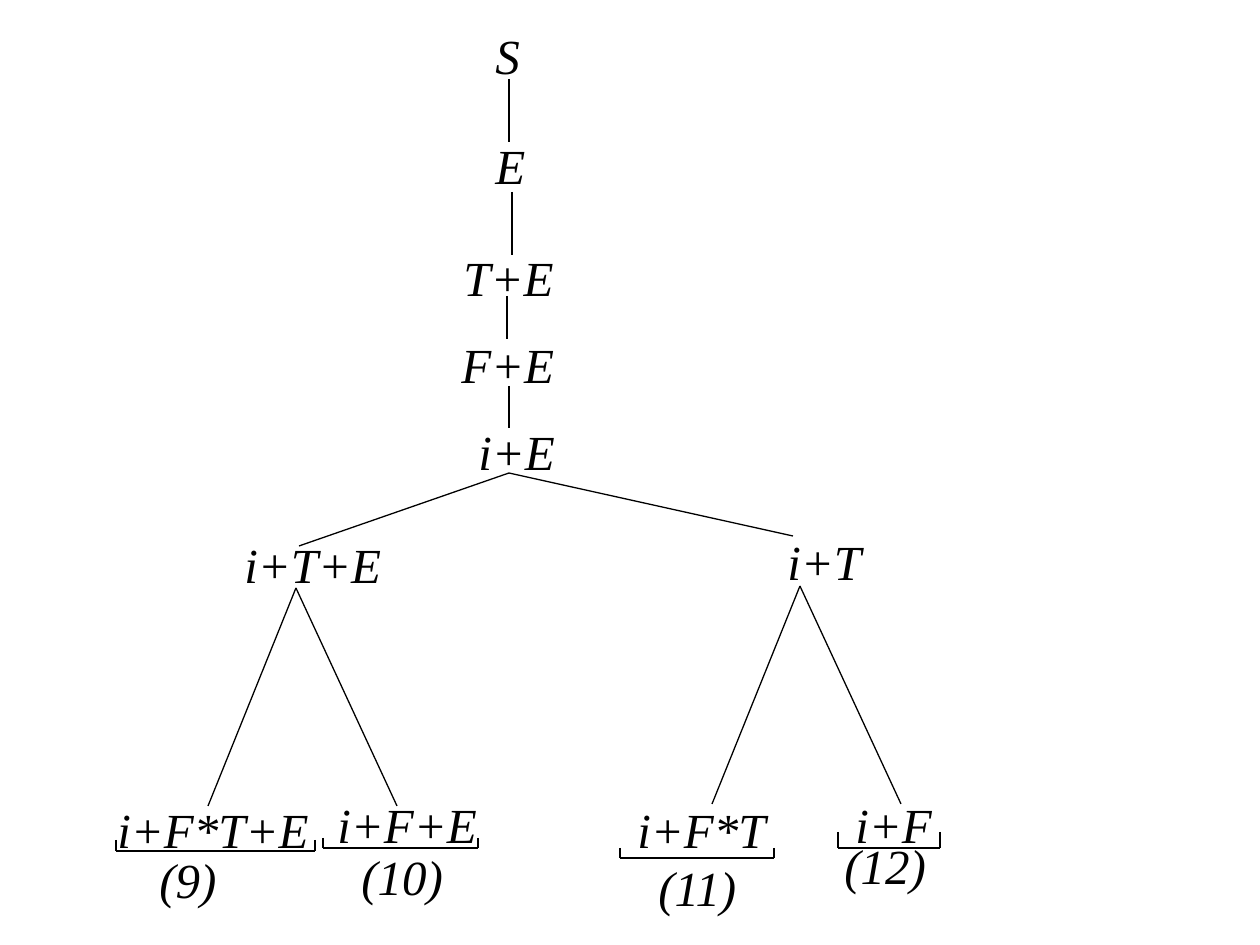
from typing import NamedTuple

from lxml.etree import SubElement
from pptx import Presentation
from pptx.dml.color import RGBColor
from pptx.enum.shapes import MSO_CONNECTOR as Conn
from pptx.enum.text import MSO_ANCHOR as Anchor
from pptx.oxml.ns import qn
from pptx.util import Emu, Pt

PX_PER_INCH = 126
BLACK = "000000"
LABEL_H = 72


class Label(NamedTuple):
    text: str
    left: int
    top: int
    width: int = 116


class Edge(NamedTuple):
    x1: int
    y1: int
    x2: int
    y2: int


class Bracket(NamedTuple):
    left: int
    right: int
    top: int
    bottom: int


class Fork(NamedTuple):
    x: int
    y: int
    ends: tuple


LABELS = [
    # Trunk of the derivation tree
    Label("S", 483, 19),
    Label("E", 483, 129),
    Label("T+E", 451, 241, 139),
    Label("F+E", 449, 328, 139),
    Label("i+E", 466, 415),
    # Branches
    Label("i+T+E", 232, 528, 168),
    Label("i+T", 775, 525),
    # Leaves
    Label("i+F*T+E", 105, 793, 221),
    Label("i+F+E", 325, 788, 168),
    Label("i+F*T", 625, 793, 199),
    Label("i+F", 843, 788, 168),
    # Leaf numbers
    Label("(9)", 147, 843),
    Label("(10)", 349, 840),
    Label("(11)", 646, 851),
    Label("(12)", 832, 829),
]

TRUNK = [
    Edge(509, 79, 509, 142),
    Edge(512, 192, 512, 255),
    Edge(507, 296, 507, 339),
    Edge(509, 386, 509, 428),
]

FORKS = [
    Fork(509, 473, ((299, 546), (793, 536))),
    Fork(296, 588, ((208, 806), (397, 806))),
    Fork(800, 586, ((712, 804), (901, 804))),
]

BRACKETS = [
    Bracket(116, 315, 840, 851),
    Bracket(323, 478, 838, 848),
    Bracket(620, 774, 848, 858),
    Bracket(838, 940, 832, 848),
]


def px(n: int) -> Emu:
    return Emu(round(n * 914400 / PX_PER_INCH))


def color(value: str) -> RGBColor:
    return RGBColor.from_string(value)


def add_label(slide, label: Label) -> None:
    sp = slide.shapes.add_textbox(
        px(label.left), px(label.top), px(label.width), px(LABEL_H))
    tf = sp.text_frame
    tf.word_wrap = True
    tf.vertical_anchor = Anchor.BOTTOM
    r = tf.paragraphs[0].add_run()
    r.text = label.text
    r.font.name = "Times New Roman"
    r.font.size = Pt(28)
    r.font.italic = True
    r.font.color.rgb = color(BLACK)


def add_edge(slide, edge: Edge) -> None:
    line = slide.shapes.add_connector(Conn.STRAIGHT, *map(px, edge))
    line.line.color.rgb = color(BLACK)
    line.line.width = Pt(0.75)
    SubElement(line._element.spPr, qn("a:effectLst"))


def add_fork(slide, fork: Fork) -> None:
    for x, y in fork.ends:
        add_edge(slide, Edge(fork.x, fork.y, x, y))


def add_bracket(slide, b: Bracket) -> None:
    add_edge(slide, Edge(b.left, b.bottom, b.right, b.bottom))
    for x in (b.left, b.right):
        add_edge(slide, Edge(x, b.top, x, b.bottom))


def main() -> None:
    prs = Presentation()
    prs.slide_width, prs.slide_height = px(1260), px(945)
    slide = prs.slides.add_slide(prs.slide_layouts[6])
    for items, draw in ((LABELS, add_label), (TRUNK, add_edge),
                        (FORKS, add_fork), (BRACKETS, add_bracket)):
        for item in items:
            draw(slide, item)
    prs.save("out.pptx")


if __name__ == "__main__":
    main()
